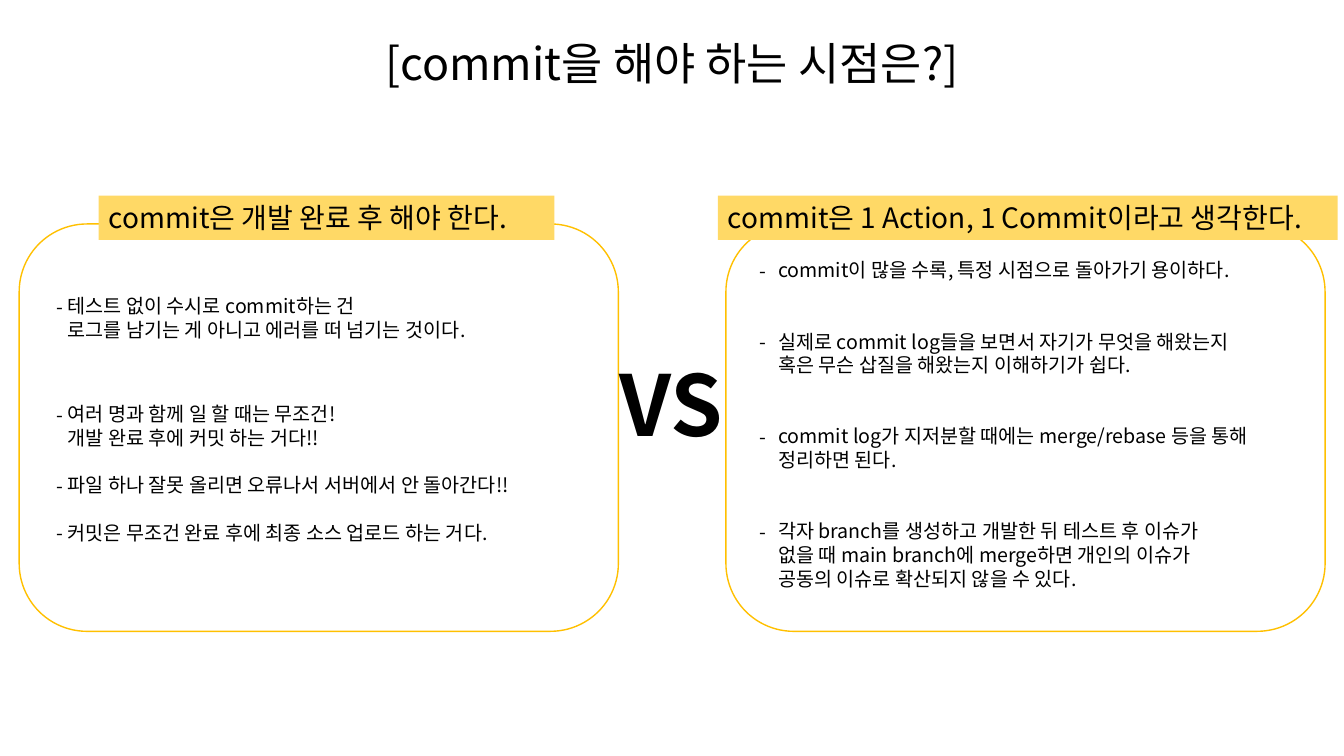
"""Build a slide that compares two opinions on when to commit."""
from dataclasses import dataclass

from lxml.etree import SubElement
from pptx import Presentation
from pptx.dml.color import RGBColor
from pptx.enum.shapes import MSO_SHAPE
from pptx.enum.text import MSO_ANCHOR as Anchor, MSO_AUTO_SIZE as AutoSize, PP_ALIGN as Align
from pptx.oxml.ns import qn
from pptx.util import Pt


@dataclass(frozen=True)
class Theme:
    font: str = "Noto Sans CJK KR"
    text: RGBColor = RGBColor(0x00, 0x00, 0x00)
    panel: RGBColor = RGBColor(0xFF, 0xFF, 0xFF)
    outline: RGBColor = RGBColor(0xFF, 0xC0, 0x00)
    banner: RGBColor = RGBColor(0xFF, 0xD9, 0x66)
    title_size: float = 32
    heading_size: float = 20
    list_size: float = 14
    list_pitch: float = 16.9
    versus_size: float = 60


@dataclass(frozen=True)
class Box:
    left: float
    top: float
    width: float
    height: float


@dataclass(frozen=True)
class Item:
    text: str
    gap: float = 0


@dataclass(frozen=True)
class Opinion:
    heading: str
    heading_box: Box
    panel_box: Box
    list_box: Box
    indent: float
    items: tuple[Item, ...]


THEME = Theme()
PANEL_TOP, PANEL_WIDTH, PANEL_HEIGHT = 160, 428, 291
HEADING_TOP, HEADING_HEIGHT = 139.7, 31.7

OPINIONS = (
    Opinion(
        "commit은 개발 완료 후 해야 한다.",
        Box(70.5, HEADING_TOP, 325.5, HEADING_HEIGHT),
        Box(13.7, PANEL_TOP, PANEL_WIDTH, PANEL_HEIGHT),
        Box(40.3, 210.2, 390, 200),
        8,
        (
            Item("테스트 없이 수시로 commit하는 건\v로그를 남기는 게 아니고 에러를 떠 넘기는 것이다."),
            Item("여러 명과 함께 일 할 때는 무조건!\v개발 완료 후에 커밋 하는 거다!!", 43.2),
            Item("파일 하나 잘못 올리면 오류나서 서버에서 안 돌아간다!!", THEME.list_pitch),
            Item("커밋은 무조건 완료 후에 최종 소스 업로드 하는 거다.", THEME.list_pitch),
        ),
    ),
    Opinion(
        "commit은 1 Action, 1 Commit이라고 생각한다.",
        Box(512.7, HEADING_TOP, 442.8, HEADING_HEIGHT),
        Box(518.5, PANEL_TOP, PANEL_WIDTH, PANEL_HEIGHT),
        Box(542.2, 184.4, 400, 250),
        13.6,
        (
            Item("commit이 많을 수록, 특정 시점으로 돌아가기 용이하다."),
            Item("실제로 commit log들을 보면서 자기가 무엇을 해왔는지\v혹은 무슨 삽질을 해왔는지 이해하기가 쉽다.", 34),
            Item("commit log가 지저분할 때에는 merge/rebase 등을 통해\v정리하면 된다.", 34),
            Item("각자 branch를 생성하고 개발한 뒤 테스트 후 이슈가\v없을 때 main branch에 merge하면 개인의 이슈가\v"
                 "공동의 이슈로 확산되지 않을 수 있다.", 34),
        ),
    ),
)


def place(shape, box: Box) -> None:
    """Move and size a shape."""
    shape.left, shape.top = Pt(box.left), Pt(box.top)
    shape.width, shape.height = Pt(box.width), Pt(box.height)


def prepare(frame, *, anchor=Anchor.MIDDLE, side: float = 7.2, edge: float = 3.6) -> None:
    """Set the anchor and margins of a text frame that does not wrap."""
    frame.auto_size, frame.word_wrap = AutoSize.NONE, False
    frame.vertical_anchor = anchor
    frame.margin_left = frame.margin_right = Pt(side)
    frame.margin_top = frame.margin_bottom = Pt(edge)


def write(paragraph, text: str, *, size: float, bold: bool = False, align=Align.LEFT,
          gap: float = 0, pitch: float | None = None) -> None:
    """Write formatted text into a paragraph."""
    paragraph.text = text
    paragraph.alignment, paragraph.space_before = align, Pt(gap)
    if pitch:
        paragraph.line_spacing = Pt(pitch)
    for run in paragraph.runs:
        font = run.font
        font.size, font.bold, font.name = Pt(size), bold, THEME.font
        font.color.rgb = THEME.text
        SubElement(run._r.get_or_add_rPr(), qn("a:ea"), typeface=THEME.font)


def add_dash(paragraph, indent: float) -> None:
    """Give a paragraph a dash bullet with a hanging indent."""
    properties = paragraph._p.get_or_add_pPr()
    properties.set("marL", str(Pt(indent)))
    properties.set("indent", str(-Pt(indent)))
    SubElement(properties, qn("a:buFont"), typeface=THEME.font)
    SubElement(properties, qn("a:buChar"), char="-")


def draw_panel(slide, box: Box) -> None:
    """Draw a rounded panel behind the text."""
    panel = slide.shapes.add_shape(MSO_SHAPE.ROUNDED_RECTANGLE, 0, 0, 0, 0)
    place(panel, box)
    panel.shadow.inherit = False
    panel.fill.solid()
    panel.fill.fore_color.rgb = THEME.panel
    panel.line.color.rgb = THEME.outline
    panel.line.width = Pt(1)
    panel.element.getparent().insert(2, panel.element)


def draw_opinion(slide, opinion: Opinion, heading, body) -> None:
    """Draw one opinion with its panel, heading and list."""
    draw_panel(slide, opinion.panel_box)
    place(heading, opinion.heading_box)
    heading.fill.solid()
    heading.fill.fore_color.rgb = THEME.banner
    prepare(heading.text_frame)
    write(heading.text_frame.paragraphs[0], opinion.heading, size=THEME.heading_size)

    place(body, opinion.list_box)
    frame = body.text_frame
    prepare(frame, anchor=Anchor.TOP, side=0, edge=0)
    for index, item in enumerate(opinion.items):
        paragraph = frame.add_paragraph() if index else frame.paragraphs[0]
        write(paragraph, item.text, size=THEME.list_size, gap=item.gap, pitch=THEME.list_pitch)
        add_dash(paragraph, opinion.indent)


def main() -> None:
    """Build and save the presentation."""
    presentation = Presentation()
    presentation.slide_width, presentation.slide_height = Pt(960), Pt(540)
    slide = presentation.slides.add_slide(presentation.slide_layouts.get_by_name("Comparison"))
    title, *columns = slide.placeholders

    place(title, Box(254, 21.6, 452, 46))
    prepare(title.text_frame)
    write(title.text_frame.paragraphs[0], "[commit을 해야 하는 시점은?]",
          size=THEME.title_size, align=Align.CENTER)

    for opinion, heading, body in zip(OPINIONS, columns[::2], columns[1::2]):
        draw_opinion(slide, opinion, heading, body)

    versus = slide.shapes.add_textbox(0, 0, 0, 0)
    place(versus, Box(435.6, 247.7, 88.6, 80))
    prepare(versus.text_frame)
    write(versus.text_frame.paragraphs[0], "VS", size=THEME.versus_size, bold=True)

    presentation.save("out.pptx")


if __name__ == "__main__":
    main()
